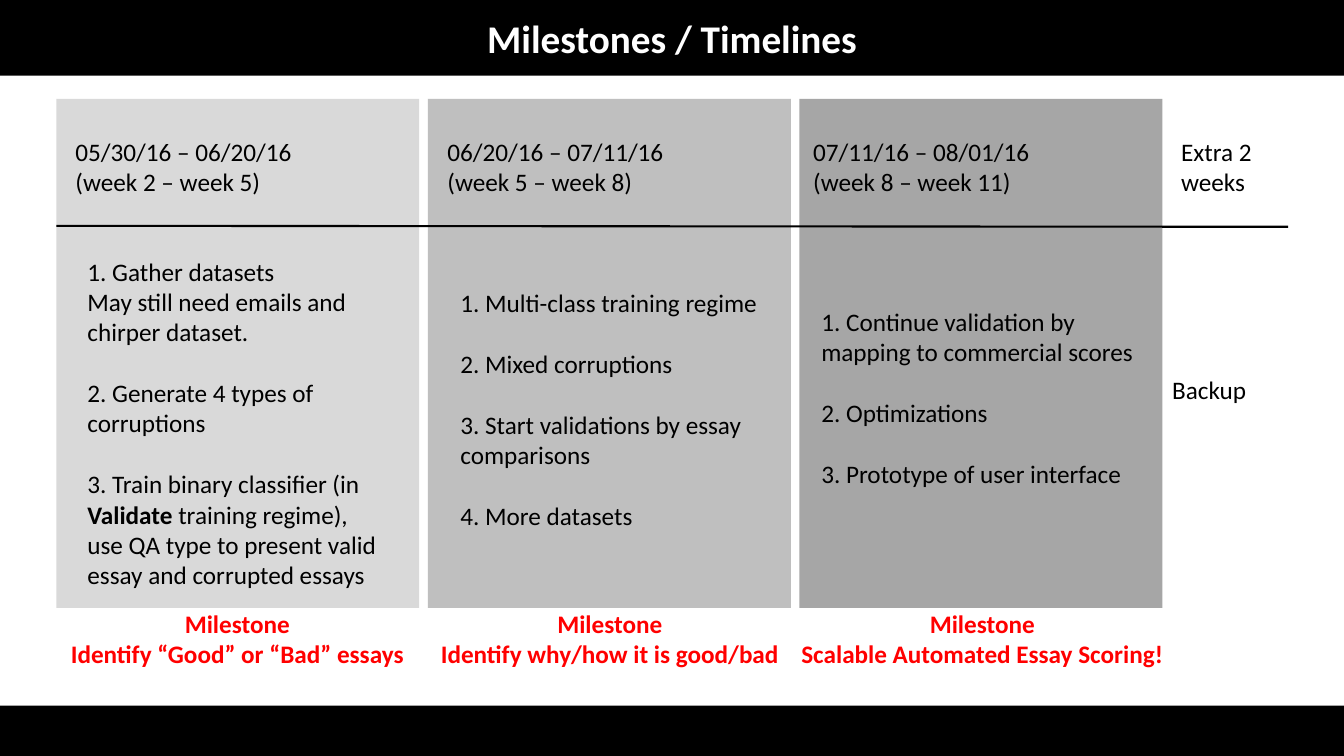
"""Build the Milestones / Timelines slide."""
from lxml.etree import SubElement
from pptx import Presentation
from pptx.dml.color import RGBColor
from pptx.enum.shapes import MSO_CONNECTOR, MSO_SHAPE
from pptx.enum.text import MSO_ANCHOR, MSO_AUTO_SIZE, PP_ALIGN
from pptx.oxml.ns import qn
from pptx.util import Pt

TITLE = "Milestones / Timelines"
PHASES = [
    {
        "fill": "light",
        "dates": ["05/30/16 – 06/20/16", "(week 2 – week 5)"],
        "dates_x": 46.8,
        "tasks": [
            "1. Gather datasets",
            "May still need emails and chirper dataset.",
            "2. Generate 4 types of corruptions",
            "3. Train binary classifier (in **Validate **training regime), "
            "use QA type to present valid essay and corrupted essays",
        ],
        "tasks_box": (55.4, 179.3, 227.5, 247),
        "milestone": "Identify “Good” or “Bad” essays",
        "milestone_span": (43.2, 252.7),
    },
    {
        "fill": "medium",
        "dates": ["06/20/16 – 07/11/16", "(week 5 – week 8)"],
        "dates_x": 312.5,
        "tasks": [
            "1. Multi-class training regime",
            "2. Mixed corruptions",
            "3. Start validations by essay comparisons",
            "4. More datasets",
        ],
        "tasks_box": (321.8, 201.6, 227.5, 181.4),
        "milestone": "Identify why/how it is good/bad",
        "milestone_span": (306, 259.2),
    },
    {
        "fill": "dark",
        "dates": ["07/11/16 – 08/01/16", "(week 8 – week 11)"],
        "dates_x": 573.8,
        "tasks": [
            "1. Continue validation by mapping to commercial scores",
            "2. Optimizations",
            "3. Prototype of user interface",
        ],
        "tasks_box": (579.6, 215.3, 242.6, 138.2),
        "milestone": "Scalable Automated Essay Scoring!",
        "milestone_span": (565.2, 273),
    },
]
EXTRA = [
    (["Extra 2 weeks"], (836.6, 93.6, 109.4, 51)),
    (["Backup"], (830.2, 263.5, 73.4, 29)),
]
COLORS = {
    "black": "000000", "white": "FFFFFF", "red": "FF0000",
    "light": "D9D9D9", "medium": "BFBFBF", "dark": "A6A6A6",
}
FONT = "Calibri"
SLIDE_W, SLIDE_H = 960, 540
COL_X, COL_Y, COL_W, COL_H, COL_STEP = 40.3, 70.6, 259.2, 363.6, 265.4
TITLE_H, FOOTER_H = 54, 36
DATES_Y, DATES_W, MILESTONE_Y, HEAD_H = 93.6, 241.2, 430.6, 51
ITEM_GAP = 22


def rgb(name):
    return RGBColor.from_string(COLORS[name])


def style(p, size, color, bold=None, align=None):
    p.font.name = FONT
    p.font.size = Pt(size)
    p.font.color.rgb = rgb(color)
    p.font.bold = bold
    p.alignment = align


def add_block(slide, fill, *box):
    sp = slide.shapes.add_shape(MSO_SHAPE.RECTANGLE, *map(Pt, box))
    sp.shadow.inherit = False
    sp.fill.solid()
    sp.fill.fore_color.rgb = rgb(fill)
    sp.line.fill.background()


def add_text(slide, lines, box, color="black", bold=None, align=None):
    tf = slide.shapes.add_textbox(*map(Pt, box)).text_frame
    tf.word_wrap = True
    tf.auto_size = MSO_AUTO_SIZE.SHAPE_TO_FIT_TEXT
    for i, line in enumerate(lines):
        p = tf.add_paragraph() if i else tf.paragraphs[0]
        for j, part in enumerate(line.split("**")):
            r = p.add_run()
            r.text = part
            if j % 2:
                r.font.bold = True
        style(p, 18, color, bold, align)
        if i and line[0].isdigit() and line[1] == ".":
            p.space_before = Pt(ITEM_GAP)


def add_title(slide):
    sp = slide.shapes.title
    sp.left, sp.top, sp.width, sp.height = map(Pt, (0, 0, SLIDE_W, TITLE_H))
    sp.fill.solid()
    sp.fill.fore_color.rgb = rgb("black")
    tf = sp.text_frame
    tf.text = TITLE
    tf.vertical_anchor = MSO_ANCHOR.MIDDLE
    tf.margin_left = tf.margin_right = Pt(14.4)
    tf.margin_top = tf.margin_bottom = 0
    style(tf.paragraphs[0], 28, "white", True, PP_ALIGN.CENTER)


def add_divider(slide):
    ends = map(Pt, (COL_X, 161.3, 920.2, 162))
    line = slide.shapes.add_connector(MSO_CONNECTOR.STRAIGHT, *ends)
    line.line.color.rgb = rgb("black")
    line.line.width = Pt(1.5)
    SubElement(line._element.spPr, qn("a:effectLst"))


def main():
    prs = Presentation()
    prs.slide_width, prs.slide_height = Pt(SLIDE_W), Pt(SLIDE_H)
    slide = prs.slides.add_slide(prs.slide_layouts[5])
    add_title(slide)
    add_block(slide, "black", 0, SLIDE_H - FOOTER_H, SLIDE_W, FOOTER_H)
    for i, phase in enumerate(PHASES):
        add_block(slide, phase["fill"], COL_X + i * COL_STEP, COL_Y, COL_W, COL_H)
    add_divider(slide)
    for phase in PHASES:
        add_text(slide, phase["dates"], (phase["dates_x"], DATES_Y, DATES_W, HEAD_H))
        add_text(slide, phase["tasks"], phase["tasks_box"])
        x, w = phase["milestone_span"]
        add_text(slide, ["Milestone", phase["milestone"]],
                 (x, MILESTONE_Y, w, HEAD_H), "red", True, PP_ALIGN.CENTER)
    for lines, box in EXTRA:
        add_text(slide, lines, box)
    prs.save("out.pptx")


if __name__ == "__main__":
    main()
